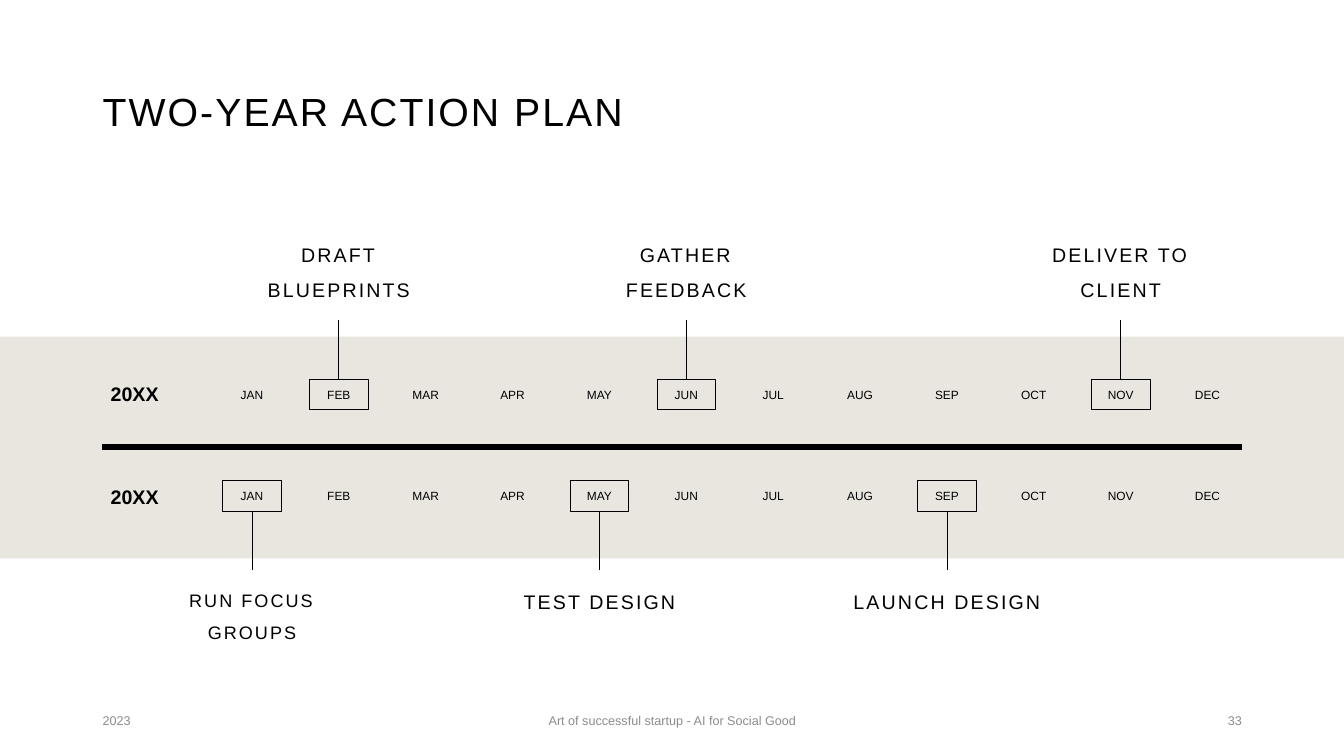
from dataclasses import dataclass

from pptx import Presentation
from pptx.dml.color import RGBColor
from pptx.enum import shapes, text
from pptx.oxml.ns import qn
from pptx.util import Pt

FONT = "Arial"
BLACK, GREY, SAND = "000000", "8C8C8C", "E9E6DF"
MONTHS = "JAN FEB MAR APR MAY JUN JUL AUG SEP OCT NOV DEC".split()
JANUARY_CENTER, MONTH_PITCH = 180, 62.05
ALIGN, ANCHOR = text.PP_ALIGN, text.MSO_ANCHOR


@dataclass
class Milestone:
    month: str
    label: str
    size: float = 14


@dataclass
class YearRow:
    year: str
    year_top: float
    months_top: float
    marker_top: float
    stem: tuple[float, float]
    label_top: float
    label_anchor: text.MSO_ANCHOR
    milestones: list[Milestone]


@dataclass
class FooterPart:
    wording: str
    left: float
    width: float
    align: text.PP_ALIGN


YEAR_ROWS = [
    YearRow("20XX", 264.2, 275.8, 270.7, (228.7, 270.7), 175, ANCHOR.BOTTOM, [
        Milestone("FEB", "DRAFT BLUEPRINTS"),
        Milestone("JUN", "GATHER FEEDBACK"),
        Milestone("NOV", "DELIVER TO CLIENT"),
    ]),
    YearRow("20XX", 337.7, 348.5, 343.4, (365, 407.5), 409.7, ANCHOR.TOP, [
        Milestone("JAN", "RUN FOCUS GROUPS", 12.9),
        Milestone("MAY", "TEST DESIGN"),
        Milestone("SEP", "LAUNCH DESIGN"),
    ]),
]
FOOTER = [
    FooterPart("2023", 66.2, 216, ALIGN.LEFT),
    FooterPart("Art of successful startup - AI for Social Good", 318.2, 324, ALIGN.CENTER),
    FooterPart("33", 678.2, 216, ALIGN.RIGHT),
]


def color(hex_code: str) -> RGBColor:
    return RGBColor.from_string(hex_code)


def month_center(month: str) -> float:
    return JANUARY_CENTER + MONTH_PITCH * MONTHS.index(month)


def write(shape, wording: str, *, size: float, hex_code: str = BLACK, bold: bool = False,
          align=ALIGN.LEFT, anchor=ANCHOR.MIDDLE, line_spacing: float = 1,
          tracking: float = 0) -> None:
    frame = shape.text_frame
    frame.word_wrap = True
    frame.auto_size = text.MSO_AUTO_SIZE.NONE
    frame.vertical_anchor = anchor
    paragraph = frame.paragraphs[0]
    paragraph.alignment = align
    paragraph.line_spacing = line_spacing
    paragraph.space_before = Pt(0)
    run = paragraph.add_run()
    run.text = wording
    run.font.name, run.font.size, run.font.bold = FONT, Pt(size), bold
    run.font.color.rgb = color(hex_code)
    if tracking:
        run.font._element.set("spc", str(round(tracking * 100)))


def add_text(slide, wording: str, left: float, top: float, width: float, height: float,
             **style) -> None:
    box = slide.shapes.add_textbox(Pt(left), Pt(top), Pt(width), Pt(height))
    write(box, wording, **style)


def add_rectangle(slide, left: float, top: float, width: float, height: float,
                  fill: str = "", line_width: float = 0) -> None:
    rectangle = slide.shapes.add_shape(
        shapes.MSO_SHAPE.RECTANGLE, Pt(left), Pt(top), Pt(width), Pt(height))
    rectangle.shadow.inherit = False
    if fill:
        rectangle.fill.solid()
        rectangle.fill.fore_color.rgb = color(fill)
    else:
        rectangle.fill.background()
    if line_width:
        rectangle.line.color.rgb = color(BLACK)
        rectangle.line.width = Pt(line_width)
    else:
        rectangle.line.fill.background()


def add_stem(slide, center: float, top: float, bottom: float) -> None:
    stem = slide.shapes.add_connector(
        shapes.MSO_CONNECTOR.STRAIGHT, Pt(center), Pt(top), Pt(center), Pt(bottom))
    stem.line.color.rgb = color(BLACK)
    stem.line.width = Pt(0.5)
    properties = stem._element.spPr
    properties.append(properties.makeelement(qn("a:effectLst"), {}))


def add_milestone(slide, row: YearRow, milestone: Milestone) -> None:
    center = month_center(milestone.month)
    add_text(slide, milestone.label, center - 81, row.label_top, 162, 44,
             size=milestone.size, align=ALIGN.CENTER, anchor=row.label_anchor,
             line_spacing=1.5, tracking=1.5)
    add_stem(slide, center, *row.stem)
    add_rectangle(slide, center - 21, row.marker_top, 42, 21.8, line_width=0.5)


def add_year_row(slide, row: YearRow) -> None:
    add_text(slide, row.year, 72, row.year_top, 57.6, 36, size=14, bold=True,
             line_spacing=0.9)
    for month in MONTHS:
        add_text(slide, month, month_center(month) - 25.2, row.months_top, 50.4, 15.8,
                 size=8.5, align=ALIGN.CENTER, anchor=ANCHOR.TOP, line_spacing=0.7)
    for milestone in row.milestones:
        add_milestone(slide, row, milestone)


def main() -> None:
    deck = Presentation()
    deck.slide_width, deck.slide_height = Pt(960), Pt(540)
    slide = deck.slides.add_slide(deck.slide_layouts[5])

    # Title
    title = slide.shapes.title
    title.left, title.top, title.width, title.height = Pt(66.2), Pt(28.8), Pt(828), Pt(104.4)
    write(title, "TWO-YEAR ACTION PLAN", size=28, line_spacing=0.9, tracking=1.5)

    # Band and the bar between the two years
    add_rectangle(slide, 0, 240.5, 960, 158.4, fill=SAND)
    add_rectangle(slide, 73.4, 317.5, 813.6, 3.6, fill=BLACK, line_width=1)

    # Months and milestones
    for row in YEAR_ROWS:
        add_year_row(slide, row)

    # Footer
    for part in FOOTER:
        add_text(slide, part.wording, part.left, 500.4, part.width, 28.8,
                 size=9, hex_code=GREY, align=part.align)

    deck.save("out.pptx")


if __name__ == "__main__":
    main()
